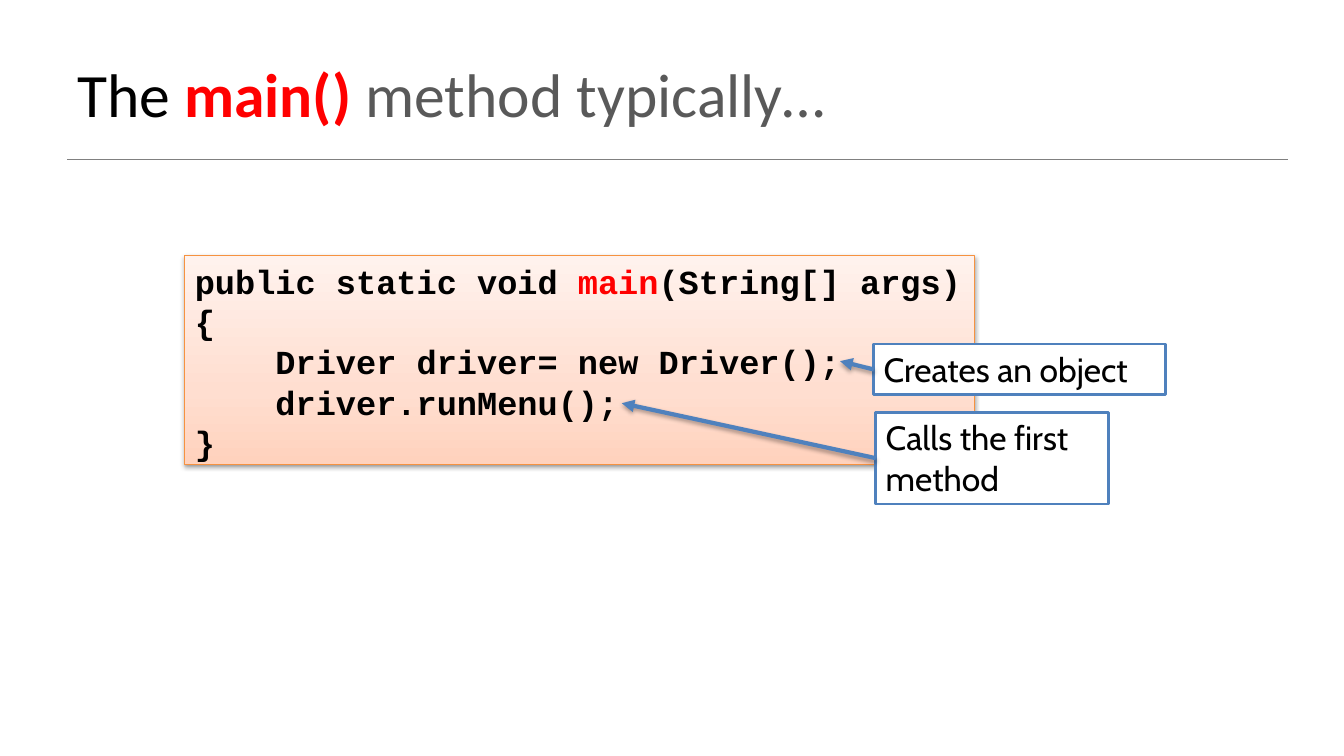
import pptx
import pptx.dml.color
import pptx.enum.shapes
import pptx.enum.text
import pptx.oxml
import pptx.oxml.ns
import pptx.util
from pptx.util import Cm

RGB = pptx.dml.color.RGBColor
BLACK = RGB(0, 0, 0)
RED = RGB(0xFF, 0, 0)
GREY = RGB(0x59, 0x59, 0x59)
RULE = RGB(0x80, 0x80, 0x80)
WHITE = RGB(0xFF, 0xFF, 0xFF)
BLUE = RGB(0x4F, 0x81, 0xBD)
ORANGE = RGB(0xF6, 0x92, 0x40)
STOPS = [(0, "FFD2BD"), (35, "FFDED0"), (100, "FFF2ED")]

RECT = pptx.enum.shapes.MSO_SHAPE.RECTANGLE
LINE = pptx.enum.shapes.MSO_CONNECTOR.STRAIGHT
ANCHOR = pptx.enum.text.MSO_ANCHOR
LEFT = pptx.enum.text.PP_ALIGN.LEFT
NS = pptx.oxml.ns.nsdecls("a")
SHADOW = (
    '<a:effectLst {}><a:outerShdw blurRad="40000" dist="{}" dir="5400000" '
    'rotWithShape="0"><a:srgbClr val="000000"><a:alpha val="{}"/></a:srgbClr>'
    "</a:outerShdw></a:effectLst>"
)


def write(shape, lines, anchor, **font):
    """Fill a shape with lines, each a list of (text, format) runs."""
    frame = shape.text_frame
    frame.word_wrap = True
    frame.vertical_anchor = anchor
    for i, runs in enumerate(lines):
        para = frame.paragraphs[0] if i == 0 else frame.add_paragraph()
        para.alignment = LEFT
        for text, form in runs:
            run = para.add_run()
            run.text = text
            look = {"color": BLACK, **font, **form}
            run.font.color.rgb = look.pop("color")
            for key, value in look.items():
                setattr(run.font, key, value)


def draw(start, end, color, width):
    """Add a straight line without the theme shadow."""
    line = slide.shapes.add_connector(LINE, *map(Cm, start + end))
    line.line.color.rgb = color
    line.line.width = pptx.util.Pt(width)
    line._element.spPr.append(pptx.oxml.parse_xml(f"<a:effectLst {NS}/>"))
    return line


deck = pptx.Presentation()
deck.slide_width, deck.slide_height = Cm(33.87), Cm(19.05)
slide = deck.slides.add_slide(deck.slide_layouts[6])

# Title and rule
draw((1.7, 4.02), (32.46, 4.02), RULE, 1)
title = slide.shapes.add_textbox(Cm(1.7), Cm(0.76), Cm(30.48), Cm(3.18))
heading = [
    ("The ", {}),
    ("main() ", {"color": RED, "bold": True}),
    ("method typically…", {"color": GREY}),
]
write(title, [heading], ANCHOR.MIDDLE, name="Calibri", size=pptx.util.Pt(44))

# Code panel
panel = slide.shapes.add_shape(RECT, Cm(4.66), Cm(6.44), Cm(19.89), Cm(5.26))
panel.line.color.rgb = ORANGE
panel.line.width = pptx.util.Pt(0.75)
stops = "".join(
    f'<a:gs pos="{pos * 1000}"><a:srgbClr val="{color}"/></a:gs>'
    for pos, color in STOPS
)
props = panel._element.spPr
props.insert(2, pptx.oxml.parse_xml(
    f'<a:gradFill {NS} rotWithShape="1"><a:gsLst>{stops}</a:gsLst>'
    '<a:lin ang="16200000" scaled="0"/></a:gradFill>'
))
props.append(pptx.oxml.parse_xml(SHADOW.format(NS, 20000, 38000)))
code = [
    [("public static void ", {}), ("main", {"color": RED}), ("(String[] args)", {})],
    [("{", {})],
    [("    Driver driver= new Driver();", {})],
    [("    driver.runMenu();", {})],
    [("}", {})],
]
write(panel, code, ANCHOR.TOP, name="Courier New", size=pptx.util.Pt(24), bold=True)

# Callouts, each with an arrow to its code line
notes = [
    ("Creates an object", (22.02, 8.67, 7.35, 1.28), (21.17, 9.1)),
    ("Calls the first method", (22.07, 10.39, 5.87, 2.31), (15.67, 10.16)),
]
for text, place, tip in notes:
    note = slide.shapes.add_shape(RECT, *map(Cm, place))
    note.shadow.inherit = False
    note.fill.solid()
    note.fill.fore_color.rgb = WHITE
    note.line.color.rgb = BLUE
    note.line.width = pptx.util.Pt(2)
    write(note, [[(text, {})]], ANCHOR.TOP, name="Cabin", size=pptx.util.Pt(24))

    arrow = draw(place[:2], tip, BLUE, 3)
    arrow.begin_connect(note, 1)
    props = arrow._element.spPr
    props.remove(props[-1])
    props.append(pptx.oxml.parse_xml(SHADOW.format(NS, 23000, 35000)))
    head = pptx.oxml.parse_xml(f'<a:tailEnd {NS} type="triangle"/>')
    arrow.line._get_or_add_ln().append(head)

deck.save("out.pptx")
